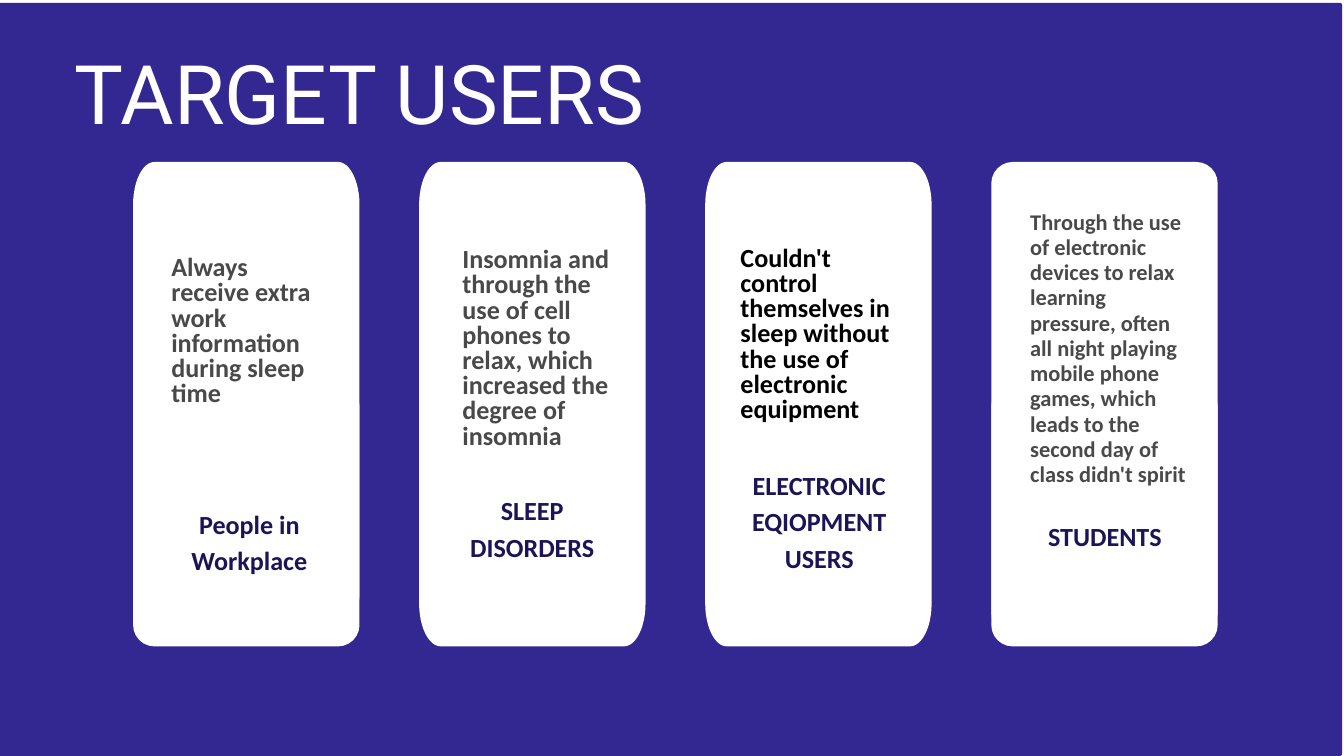
"""Build the slide on target users with four white cards."""
from math import cos, pi, sin

from pptx import Presentation
from pptx.dml.color import RGBColor
from pptx.enum.shapes import MSO_SHAPE
from pptx.enum.text import MSO_ANCHOR, MSO_AUTO_SIZE, PP_ALIGN
from pptx.util import Pt

PANEL, WHITE, NAVY, GREY, BLACK = "332792", "FFFFFF", "1B1457", "494949", "000000"
LEFT, TOP, STEP = 142.6, 173.5, 306.5
WIDTH, HIGH, CURVE = 242.6, 519, 23


def color(code):
    return RGBColor.from_string(code)


def write(shape, text, size=28, font="Calibri", ink=GREY, bold=True,
          align=PP_ALIGN.LEFT, line=27):
    frame = shape.text_frame
    frame.word_wrap = True
    frame.auto_size = MSO_AUTO_SIZE.NONE
    frame.vertical_anchor = MSO_ANCHOR.TOP
    frame.margin_left = frame.margin_right = 0
    frame.margin_top = frame.margin_bottom = 0
    frame.text = text
    for para in frame.paragraphs:
        para.alignment = align
        para.line_spacing = Pt(line)
        para.space_before = Pt(0)
        para.font.size = Pt(size)
        para.font.name = font
        para.font.bold = bold
        para.font.color.rgb = color(ink)


class Deck:
    def __init__(self):
        self.show = Presentation()
        self.show.slide_width, self.show.slide_height = Pt(1440), Pt(810)
        self.slide = self.show.slides.add_slide(self.show.slide_layouts[5])
        self.shapes = self.slide.shapes

    def paint(self, shape, fill):
        shape.shadow.inherit = False
        shape.fill.solid()
        shape.fill.fore_color.rgb = color(fill)
        shape.line.fill.background()

    def round(self, x, y, w, h, curve=CURVE, fill=WHITE):
        box = self.shapes.add_shape(
            MSO_SHAPE.ROUNDED_RECTANGLE, Pt(x), Pt(y), Pt(w), Pt(h))
        box.adjustments[0] = curve / min(w, h)
        self.paint(box, fill)

    def oval(self, x, y, w, h, rise, fill=WHITE, steps=12):
        hubs = [(x + w - CURVE, y + h - rise), (x + CURVE, y + h - rise),
                (x + CURVE, y + rise), (x + w - CURVE, y + rise)]
        dots = []
        for turn, (mid, level) in enumerate(hubs):
            for step in range(steps + 1):
                angle = (turn + step / steps) * pi / 2
                dots.append((Pt(mid + CURVE * cos(angle)),
                             Pt(level + rise * sin(angle))))
        path = self.shapes.build_freeform(*dots[0])
        path.add_line_segments(dots[1:], close=True)
        self.paint(path.convert_to_shape(), fill)

    def text(self, x, y, w, h, text, **style):
        box = self.shapes.add_textbox(Pt(x), Pt(y), Pt(w), Pt(h))
        write(box, text, **style)

    def title(self, x, y, w, h, text, **style):
        head = self.shapes.title
        head.left, head.top, head.width, head.height = Pt(x), Pt(y), Pt(w), Pt(h)
        write(head, text, **style)
        self.shapes._spTree.append(head._element)


def main():
    deck = Deck()
    deck.round(-2, 3, 1440, 807, curve=2.5, fill=PANEL)
    cards = [
        ("Always receive extra work information during sleep time",
         (183.6, 275, 164), {},
         "People in Workplace", (161.3, 538.6, 211.7, 76)),
        ("Insomnia and through the use of cell phones to relax, "
         "which increased the degree of insomnia",
         (495.4, 266.4, 219), {},
         "SLEEP\nDISORDERS", (468.7, 524.2, 203, 107)),
        ("Couldn't control themselves in sleep without the use of "
         "electronic equipment",
         (793.4, 265, 191.5), {"ink": BLACK},
         "ELECTRONIC EQIOPMENT\nUSERS", (776.2, 496.8, 203, 163)),
        ("Through the use of electronic devices to relax learning pressure, "
         "often all night playing mobile phone games, which leads to the "
         "second day of class didn't spirit",
         (1103.8, 224.6, 300), {"size": 24},
         "STUDENTS", (1082.2, 552.2, 203, 52)),
    ]
    for spot, (story, (x, y, h), style, name, place) in enumerate(cards):
        left = LEFT + spot * STEP
        if spot in (0, 3):
            deck.round(left, 412.6, WIDTH, 280)
        if spot == 3:
            deck.round(left, TOP, WIDTH, 506)
        else:
            deck.oval(left, TOP, WIDTH, HIGH if spot else 506, rise=46)
        deck.text(x, y, 167.8, h, story, **style)
        deck.text(*place, name, ink=NAVY, align=PP_ALIGN.CENTER, line=39.2)
    deck.title(-214.6, 13, 1199.5, 131, "TARGET USERS", size=88, font="Roboto",
               ink=WHITE, bold=False, align=PP_ALIGN.CENTER, line=138.2)
    deck.show.save("out.pptx")


if __name__ == "__main__":
    main()
